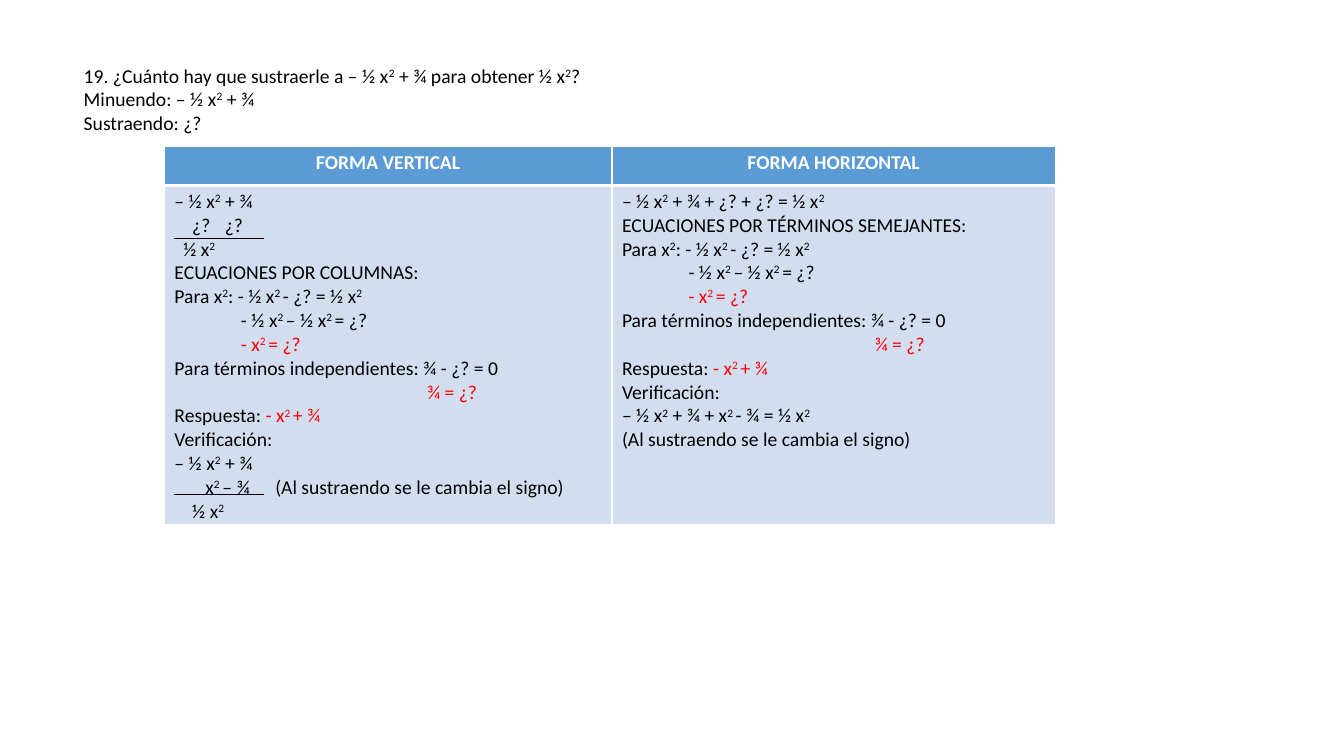
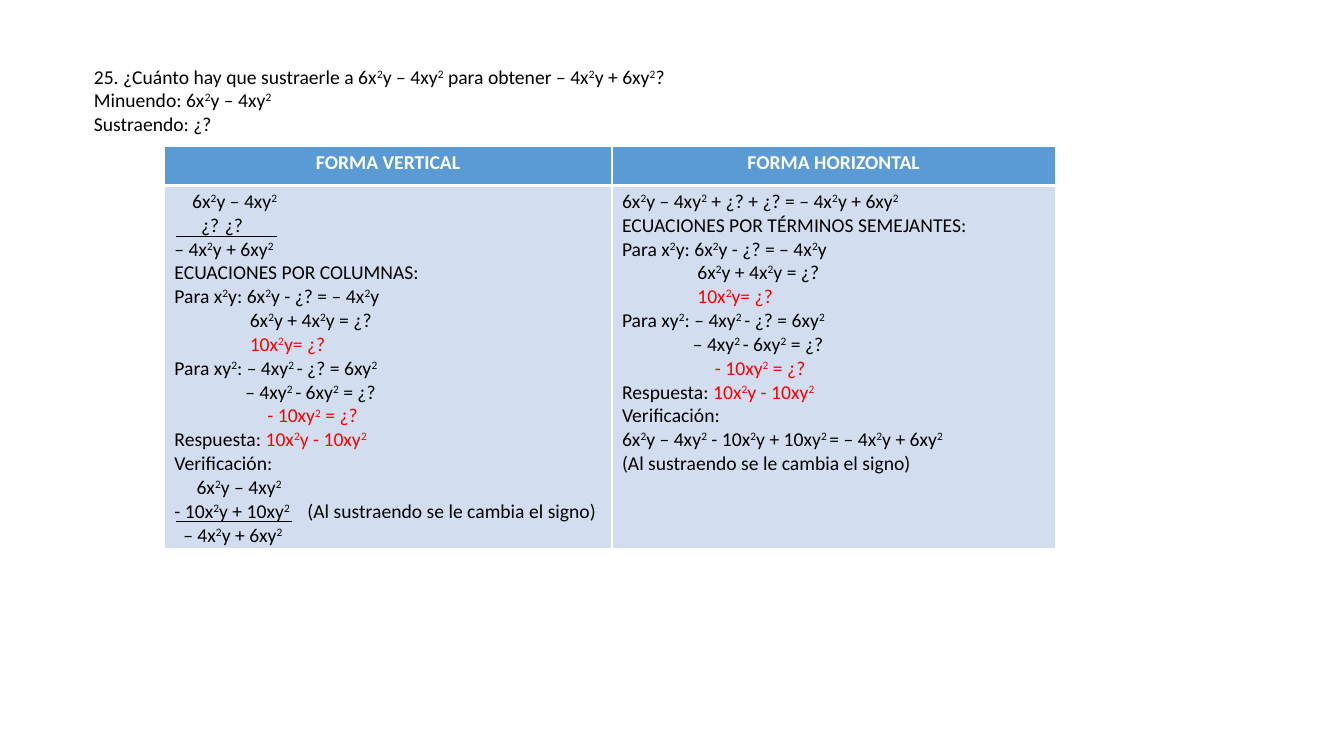
from dataclasses import dataclass
from typing import NamedTuple

from lxml import etree
from pptx import Presentation
from pptx.dml.color import RGBColor
from pptx.enum.shapes import MSO_CONNECTOR
from pptx.enum.text import MSO_ANCHOR, MSO_AUTO_SIZE, PP_ALIGN
from pptx.oxml.ns import qn
from pptx.util import Pt

STRAIGHT = MSO_CONNECTOR.STRAIGHT
TOP = MSO_ANCHOR.TOP
FIT_TEXT = MSO_AUTO_SIZE.SHAPE_TO_FIT_TEXT
LEFT, CENTER = PP_ALIGN.LEFT, PP_ALIGN.CENTER
TITLE_ONLY = 5


@dataclass(frozen=True)
class Theme:
    font: str = "Calibri"
    size: float = 14
    line_pitch: float = 17.1
    superscript: str = "30000"
    ink: str = "000000"
    result: str = "FF0000"
    header: str = "5B9BD5"
    body: str = "D2DEEF"
    white: str = "FFFFFF"
    border: float = 1
    header_border: float = 3
    sum_rule: float = 0.5


class Box(NamedTuple):
    left: float
    top: float
    width: float
    height: float


class Line(NamedTuple):
    text: str
    indent: float = 0
    tab: float = 0


class SumRule(NamedTuple):
    left: float
    top: float
    width: float


class Exercise(NamedTuple):
    statement_box: Box
    statement: list
    vertical: list
    horizontal: list
    sum_rules: list


THEME = Theme()
TABLE_LEFT, TABLE_TOP = 117.4, 104.4
COLUMN_WIDTHS = (319.7, 316.8)
HEADER_HEIGHT = 28.1
BODY_TOP_MARGIN = 3
HEADINGS = ("FORMA VERTICAL", "FORMA HORIZONTAL")
BY_COLUMNS = Line("ECUACIONES POR COLUMNAS:")
BY_LIKE_TERMS = Line("ECUACIONES POR TÉRMINOS SEMEJANTES:")
SIGN_NOTE = "(Al sustraendo se le cambia el signo)"
UNKNOWN = Line("Sustraendo: ¿?")
CHECK = Line("Verificación:")

FRACTIONS_MINUEND = "– ½ x^2^ + ¾"
FRACTIONS_STEPS = [
    Line("Para x^2^: - ½ x^2 ^- ¿? = ½ x^2^"),
    Line("- ½ x^2 ^– ½ x^2 ^= ¿?", 47.5),
    Line("|- x^2 ^= ¿?|", 47.5),
    Line("Para términos independientes: ¾ - ¿? = 0"),
    Line("|¾ = ¿?|", 180.4),
    Line("Respuesta: |- x^2 ^+ ¾|"),
    CHECK,
]
XY_MINUEND = "6x^2^y – 4xy^2^"
XY_REMAINDER = "– 4x^2^y + 6xy^2^"
XY_STEPS = [
    Line("Para x^2^y: 6x^2^y - ¿? = – 4x^2^y"),
    Line("6x^2^y + 4x^2^y = ¿?", 53.8),
    Line("|10x^2^y= ¿?|", 53.8),
    Line("Para xy^2^: – 4xy^2 ^- ¿? = 6xy^2^"),
    Line("– 4xy^2 ^- 6xy^2^ = ¿?", 50.6),
    Line("|- 10xy^2^ = ¿?|", 66.4),
    Line("Respuesta: |10x^2^y - 10xy^2^|"),
    CHECK,
]

EXERCISES = [
    Exercise(
        Box(52.6, 41.8, 560.9, 58.3),
        [
            Line(f"19. ¿Cuánto hay que sustraerle a {FRACTIONS_MINUEND} para obtener ½ x^2^?"),
            Line(f"Minuendo: {FRACTIONS_MINUEND}"),
            UNKNOWN,
        ],
        [
            Line(FRACTIONS_MINUEND),
            Line("¿?\t¿?", 12.7, 44.3),
            Line("½ x^2^", 6.3),
            BY_COLUMNS,
            *FRACTIONS_STEPS,
            Line(FRACTIONS_MINUEND),
            Line(f"x^2 ^– ¾\t{SIGN_NOTE}", 22.1, 69.6),
            Line("½ x^2^", 12.7),
        ],
        [
            Line(f"{FRACTIONS_MINUEND} + ¿? + ¿? = ½ x^2^"),
            BY_LIKE_TERMS,
            *FRACTIONS_STEPS,
            Line(f"{FRACTIONS_MINUEND} + x^2 ^- ¾ = ½ x^2^"),
            Line(SIGN_NOTE),
        ],
        [SumRule(7.2, 66.2, 64), SumRule(7.2, 248.4, 64)],
    ),
    Exercise(
        Box(59.8, 42.5, 564.5, 58.3),
        [
            Line(f"25. ¿Cuánto hay que sustraerle a {XY_MINUEND} para obtener {XY_REMAINDER}?"),
            Line(f"Minuendo: {XY_MINUEND}"),
            UNKNOWN,
        ],
        [
            Line(XY_MINUEND, 12.7),
            Line("¿?\t¿?", 19, 51),
            Line(XY_REMAINDER),
            BY_COLUMNS,
            *XY_STEPS,
            Line(XY_MINUEND, 15.8),
            Line(f"- 10x^2^y + 10xy^2^\t{SIGN_NOTE}", 0, 95),
            Line(XY_REMAINDER, 6.3),
        ],
        [
            Line(f"{XY_MINUEND} + ¿? + ¿? = {XY_REMAINDER}"),
            BY_LIKE_TERMS,
            *XY_STEPS,
            Line(f"{XY_MINUEND} - 10x^2^y + 10xy^2 ^= {XY_REMAINDER}"),
            Line(SIGN_NOTE),
        ],
        [SumRule(8.6, 64.1, 72), SumRule(8.6, 267.8, 82.8)],
    ),
]


def assign(target, values):
    for name, value in values.items():
        setattr(target, name, value)


def write_run(paragraph, text, color, bold, raised):
    run = paragraph.add_run()
    run.text = text
    assign(run.font, {"name": THEME.font, "size": Pt(THEME.size), "bold": bold})
    run.font.color.rgb = RGBColor.from_string(color)
    if raised:
        run.font._element.set("baseline", THEME.superscript)


def write_line(paragraph, line, color, bold, alignment):
    paragraph.alignment = alignment
    properties = paragraph._p.get_or_add_pPr()
    if line.indent:
        properties.set("marL", "0")
        properties.set("indent", str(int(Pt(line.indent))))
    if line.tab:
        stops = etree.SubElement(properties, qn("a:tabLst"))
        etree.SubElement(stops, qn("a:tab"), pos=str(int(Pt(line.tab))), algn="l")
    for part, colored in enumerate(line.text.split("|")):
        part_color = THEME.result if colored and part % 2 else color
        for piece, text in enumerate(colored.split("^")):
            if text:
                write_run(paragraph, text, part_color, bold, piece % 2 == 1)


def write_lines(frame, lines, color=THEME.ink, bold=False, alignment=LEFT):
    for index, line in enumerate(lines):
        paragraph = frame.add_paragraph() if index else frame.paragraphs[0]
        write_line(paragraph, line, color, bold, alignment)


def add_statement(slide, box, lines):
    statement = slide.shapes.title
    assign(statement, {side: Pt(value) for side, value in box._asdict().items()})
    frame = statement.text_frame
    assign(frame, {"word_wrap": True, "vertical_anchor": TOP, "auto_size": FIT_TEXT})
    write_lines(frame, lines)


def set_borders(cell, widths):
    properties = cell._tc.get_or_add_tcPr()
    for index, (side, width) in enumerate(widths.items()):
        border = etree.Element(qn(f"a:{side}"), w=str(int(Pt(width))))
        fill = etree.SubElement(border, qn("a:solidFill"))
        etree.SubElement(fill, qn("a:srgbClr"), val=THEME.white)
        properties.insert(index, border)


def format_cell(cell, fill, thick_side):
    cell.fill.solid()
    cell.fill.fore_color.rgb = RGBColor.from_string(fill)
    widths = dict.fromkeys(("lnL", "lnR", "lnT", "lnB"), THEME.border)
    set_borders(cell, {**widths, thick_side: THEME.header_border})


def add_solution_table(slide, box, columns):
    table = slide.shapes.add_table(2, len(columns), *map(Pt, box)).table
    table.horz_banding = False
    table.rows[0].height = Pt(HEADER_HEIGHT)
    table.rows[1].height = Pt(box.height - HEADER_HEIGHT)
    for index, (heading, lines) in enumerate(zip(HEADINGS, columns)):
        table.columns[index].width = Pt(COLUMN_WIDTHS[index])
        header, body = table.cell(0, index), table.cell(1, index)
        format_cell(header, THEME.header, "lnB")
        format_cell(body, THEME.body, "lnT")
        assign(body, {"margin_top": Pt(BODY_TOP_MARGIN), "margin_bottom": Pt(0)})
        write_lines(header.text_frame, [Line(heading)], THEME.white, True, CENTER)
        write_lines(body.text_frame, lines)


def add_sum_rules(slide, box, sum_rules):
    for rule in sum_rules:
        left, top = box.left + rule.left, box.top + rule.top
        connector = slide.shapes.add_connector(
            STRAIGHT, Pt(left), Pt(top), Pt(left + rule.width), Pt(top)
        )
        connector.line.width = Pt(THEME.sum_rule)
        connector.line.color.rgb = RGBColor.from_string(THEME.ink)
        etree.SubElement(connector._element.spPr, qn("a:effectLst"))


def add_exercise(deck, exercise):
    slide = deck.slides.add_slide(deck.slide_layouts[TITLE_ONLY])
    columns = (exercise.vertical, exercise.horizontal)
    body_height = max(map(len, columns)) * THEME.line_pitch + BODY_TOP_MARGIN
    table_box = Box(TABLE_LEFT, TABLE_TOP, sum(COLUMN_WIDTHS), HEADER_HEIGHT + body_height)
    add_statement(slide, exercise.statement_box, exercise.statement)
    add_solution_table(slide, table_box, columns)
    add_sum_rules(slide, table_box, exercise.sum_rules)


def main():
    deck = Presentation()
    assign(deck, {"slide_width": Pt(960), "slide_height": Pt(540)})
    for exercise in EXERCISES:
        add_exercise(deck, exercise)
    deck.save("out.pptx")


if __name__ == "__main__":
    main()
